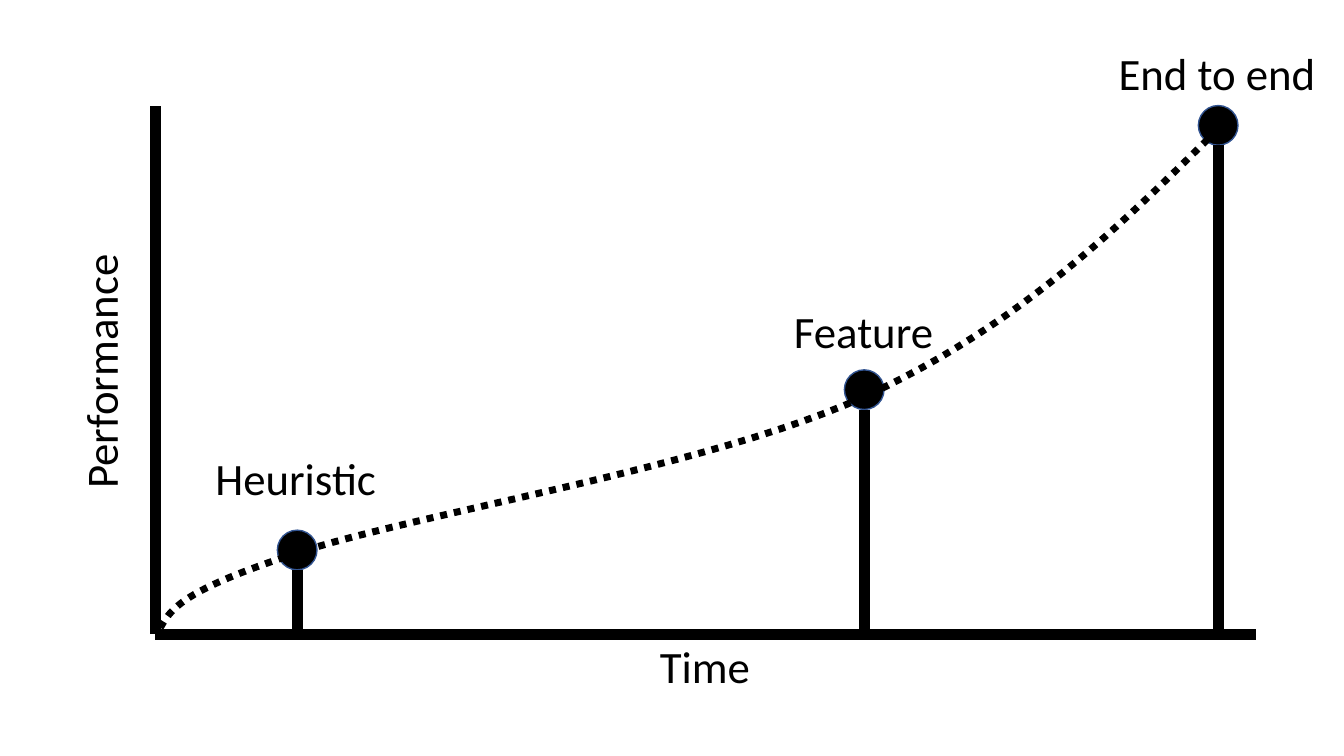
from dataclasses import dataclass

from lxml import etree
from pptx import Presentation
from pptx.dml.color import RGBColor
from pptx.enum.dml import MSO_LINE
from pptx.enum.shapes import MSO_CONNECTOR, MSO_SHAPE
from pptx.enum.text import MSO_AUTO_SIZE
from pptx.oxml.ns import qn
from pptx.util import Cm, Pt

BLACK = RGBColor(0x00, 0x00, 0x00)
NAVY = RGBColor(0x32, 0x54, 0x91)
STRAIGHT = MSO_CONNECTOR.STRAIGHT
OVAL = MSO_SHAPE.OVAL
DOTTED = MSO_LINE.ROUND_DOT
FIT = MSO_AUTO_SIZE.SHAPE_TO_FIT_TEXT

FONT = "Calibri"
LEFT, RIGHT = 3.91, 31.65
TOP, BASE = 2.67, 15.98
SIZE = 1.0
HIGH = 1.63
STEPS = 24

Point = tuple[float, float]


@dataclass
class Label:
    text: str
    left: float
    top: float
    width: float
    turn: float = 0


@dataclass
class Stage:
    x: float
    y: float
    label: Label


@dataclass
class Bend:
    first: Point
    second: Point
    end: Point


AXES = [
    Label("Time", 16.38, BASE, 2.82),
    Label("Performance", -0.71, 8.51, 6.48, 270),
]
STAGES = [
    Stage(7.49, 13.86, Label("Heuristic", 5.18, 11.23, 4.6)),
    Stage(21.78, 9.82, Label("Feature", 19.76, 7.54, 4.06)),
    Stage(30.7, 3.16, Label("End to end", 27.94, 1.04, 5.54)),
]
START = (4.04, 15.82)
BENDS = [
    Bend((4.32, 15.34), (4.57, 14.88), (7.54, 13.92)),
    Bend((10.49, 12.95), (17.96, 11.76), (21.82, 9.98)),
    Bend((25.68, 8.2), (28.19, 5.74), (30.7, 3.25)),
]


def draw_line(shapes, start: Point, end: Point) -> None:
    line = shapes.add_connector(STRAIGHT, *map(Cm, start + end))
    line.line.color.rgb = BLACK
    line.line.width = Pt(8)
    props = line._element.find(qn("p:spPr"))
    etree.SubElement(props, qn("a:effectLst"))


def draw_label(shapes, label: Label) -> None:
    box = shapes.add_textbox(
        Cm(label.left), Cm(label.top), Cm(label.width), Cm(HIGH)
    )
    box.rotation = label.turn
    frame = box.text_frame
    frame.word_wrap = False
    frame.auto_size = FIT
    run = frame.paragraphs[0].add_run()
    run.text = label.text
    run.font.name = FONT
    run.font.size = Pt(32)
    run.font.color.rgb = BLACK


def draw_dot(shapes, stage: Stage) -> None:
    half = SIZE / 2
    dot = shapes.add_shape(
        OVAL, Cm(stage.x - half), Cm(stage.y - half), Cm(SIZE), Cm(SIZE)
    )
    dot.shadow.inherit = False
    dot.fill.solid()
    dot.fill.fore_color.rgb = BLACK
    dot.line.color.rgb = NAVY
    dot.line.width = Pt(1)


def trace(start: Point, bend: Bend) -> list[Point]:
    points = []
    for step in range(1, STEPS + 1):
        t = step / STEPS
        u = 1 - t
        parts = zip(start, bend.first, bend.second, bend.end)
        x, y = (
            u**3 * a + 3 * u * u * t * b + 3 * u * t * t * c + t**3 * d
            for a, b, c, d in parts
        )
        points.append((x, y))
    return points


def draw_curve(shapes, start: Point, bends: list[Bend]) -> None:
    pen = shapes.build_freeform(Cm(start[0]), Cm(start[1]))
    for bend in bends:
        points = trace(start, bend)
        pen.add_line_segments([(Cm(x), Cm(y)) for x, y in points], close=False)
        start = bend.end
    curve = pen.convert_to_shape()
    curve.shadow.inherit = False
    curve.fill.background()
    curve.line.color.rgb = BLACK
    curve.line.width = Pt(5)
    curve.line.dash_style = DOTTED


def main() -> None:
    deck = Presentation()
    deck.slide_width, deck.slide_height = Cm(33.87), Cm(19.05)
    shapes = deck.slides.add_slide(deck.slide_layouts[6]).shapes

    for end in ((RIGHT, BASE), (LEFT, TOP)):
        draw_line(shapes, (LEFT, BASE), end)
    for label in AXES:
        draw_label(shapes, label)
    for stage in STAGES:
        draw_dot(shapes, stage)
        draw_line(shapes, (stage.x, BASE), (stage.x, stage.y + SIZE / 2))
    draw_curve(shapes, START, BENDS)
    for stage in STAGES:
        draw_label(shapes, stage.label)

    deck.save("out.pptx")


main()
